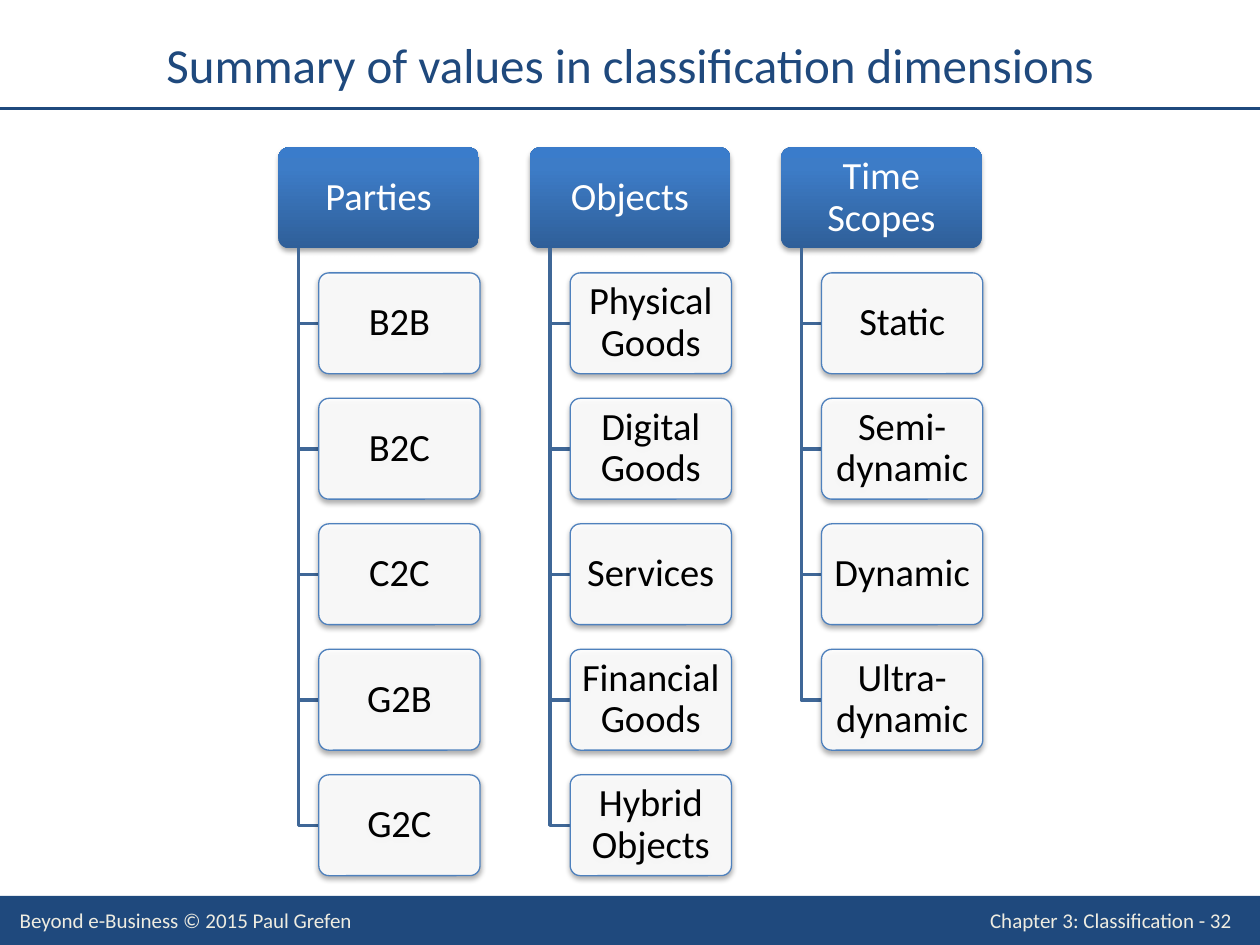
import lxml.etree
import pptx
import pptx.dml.color
import pptx.enum.shapes
import pptx.enum.text
import pptx.oxml.ns
import pptx.util

Inches = pptx.util.Inches
Pt = pptx.util.Pt
ALIGN = pptx.enum.text.PP_ALIGN
SHAPE = pptx.enum.shapes.MSO_SHAPE
qn = pptx.oxml.ns.qn

COLORS = {
    "navy": "1F497D", "white": "FFFFFF", "black": "000000", "cream": "EEECE1",
    "border": "4F81BD", "branch": "3F6797",
    "low": "2F5F99", "mid": "3D7CC7", "top": "3A7CCB",
}

DIMENSIONS = {
    "Parties": ["B2B", "B2C", "C2C", "G2B", "G2C"],
    "Objects": ["Physical Goods", "Digital Goods", "Services",
                "Financial Goods", "Hybrid Objects"],
    "Time Scopes": ["Static", "Semi-dynamic", "Dynamic", "Ultra-dynamic"],
}

LEFT, TOP = 2.21, 1.17
COLUMN_STEP, ROW_STEP = 3.99 / 2, 4.98 / 5
HEADER_WIDTH, VALUE_WIDTH, BOX_HEIGHT = 1.59, 1.28, 0.8
BRANCH_INDENT, VALUE_INDENT = 0.16, 0.32


def rgb(name):
    return pptx.dml.color.RGBColor.from_string(COLORS[name])


def add_element(parent, tag, **attrs):
    values = {key: str(value) for key, value in attrs.items()}
    return lxml.etree.SubElement(parent, qn(tag), values)


class Deck:
    font = "Calibri"

    def __init__(self, prs):
        self.s = prs.slides.add_slide(prs.slide_layouts[5])

    def label(self, sp, text, size, color, align=ALIGN.CENTER, spacing=1.0, margins=(0.1, 0.05)):
        tf = sp.text_frame
        x, y = (Inches(m) for m in margins)
        frame = {"word_wrap": True, "vertical_anchor": pptx.enum.text.MSO_ANCHOR.MIDDLE,
                 "auto_size": pptx.enum.text.MSO_AUTO_SIZE.NONE,
                 "margin_left": x, "margin_right": x, "margin_top": y, "margin_bottom": y}
        for key, value in frame.items():
            setattr(tf, key, value)
        p = tf.paragraphs[0]
        p.alignment, p.line_spacing = align, spacing
        r = p.add_run()
        r.text = text
        for key, value in {"name": self.font, "size": Pt(size), "bold": False}.items():
            setattr(r.font, key, value)
        r.font.color.rgb = rgb(color)

    def title(self, text, *box):
        sp = self.s.shapes.title
        for key, value in zip(("left", "top", "width", "height"), box):
            setattr(sp, key, Inches(value))
        self.label(sp, text, 28, "navy")

    def band(self, *box):
        sp = self.s.shapes.add_shape(SHAPE.RECTANGLE, *map(Inches, box))
        sp.shadow.inherit = False
        sp.fill.solid()
        sp.fill.fore_color.rgb = rgb("navy")
        sp.line.fill.background()

    def rule(self, y, width):
        sp = self.s.shapes.add_connector(pptx.enum.shapes.MSO_CONNECTOR.STRAIGHT,
                                         0, Inches(y), Inches(width), Inches(y))
        sp.line.color.rgb = rgb("navy")
        sp.line.width = Pt(1.5)
        add_element(sp._element.spPr, "a:effectLst")

    def footer(self, text, align, *box):
        sp = self.s.shapes.add_textbox(*map(Inches, box))
        self.label(sp, text, 12, "cream", align)

    def card(self, text, color, x, y, width):
        sp = self.s.shapes.add_shape(SHAPE.ROUNDED_RECTANGLE,
                                     *map(Inches, (x, y, width, BOX_HEIGHT)))
        sp.adjustments[0] = 0.1
        sp.shadow.inherit = False
        effects = sp._element.spPr.find(qn("a:effectLst"))
        shadow = add_element(effects, "a:outerShdw", blurRad=int(Pt(3.1)), dist=int(Pt(1.8)),
                             dir=5400000, rotWithShape=0)
        tint = add_element(shadow, "a:srgbClr", val=COLORS["black"])
        add_element(tint, "a:alpha", val=35000)
        self.label(sp, text, 22, color, spacing=0.9, margins=(0.05, 0.03))
        return sp

    def header(self, text, x, y):
        sp = self.card(text, "white", x, y, HEADER_WIDTH)
        sp.line.fill.background()
        sp.fill.gradient()
        sp.fill.gradient_angle = 90
        stops = sp._element.spPr.find(".//" + qn("a:gsLst"))
        for stop in list(stops):
            stops.remove(stop)
        for pos, name in ((0, "low"), (80, "mid"), (100, "top")):
            stop = add_element(stops, "a:gs", pos=pos * 1000)
            add_element(stop, "a:srgbClr", val=COLORS[name])

    def value(self, text, x, y):
        sp = self.card(text, "black", x, y, VALUE_WIDTH)
        sp.fill.solid()
        sp.fill.fore_color.rgb = rgb("white")
        color = sp._element.spPr.find(qn("a:solidFill")).find(qn("a:srgbClr"))
        add_element(color, "a:alpha", val=90000)
        sp.line.color.rgb = rgb("border")
        sp.line.width = Pt(0.75)

    def branch(self, x, y, end_x, end_y):
        builder = self.s.shapes.build_freeform(Inches(x), Inches(y))
        builder.add_line_segments([(Inches(x), Inches(end_y)),
                                   (Inches(end_x), Inches(end_y))], close=False)
        sp = builder.convert_to_shape()
        sp.shadow.inherit = False
        sp.fill.background()
        sp.line.color.rgb = rgb("branch")
        sp.line.width = Pt(2)


def main():
    prs = pptx.Presentation()
    prs.slide_width, prs.slide_height = Inches(10), Inches(7.5)
    deck = Deck(prs)
    deck.band(0, 7.11, 10, 0.39)
    deck.rule(0.86, 10)
    deck.title("Summary of values in classification dimensions", 0.5, 0.23, 9, 0.55)
    for column, (name, values) in enumerate(DIMENSIONS.items()):
        x = LEFT + column * COLUMN_STEP
        deck.header(name, x, TOP)
        for row, text in enumerate(values, 1):
            y = TOP + row * ROW_STEP
            deck.branch(x + BRANCH_INDENT, TOP + BOX_HEIGHT,
                        x + VALUE_INDENT, y + BOX_HEIGHT / 2)
            deck.value(text, x + VALUE_INDENT, y)
    deck.footer("Beyond e-Business © 2015 Paul Grefen", ALIGN.CENTER, 0, 7.1, 2.95, 0.4)
    deck.footer("Chapter 3: Classification - 32", ALIGN.LEFT, 7.76, 7.1, 2.24, 0.4)
    prs.save("out.pptx")


if __name__ == "__main__":
    main()
